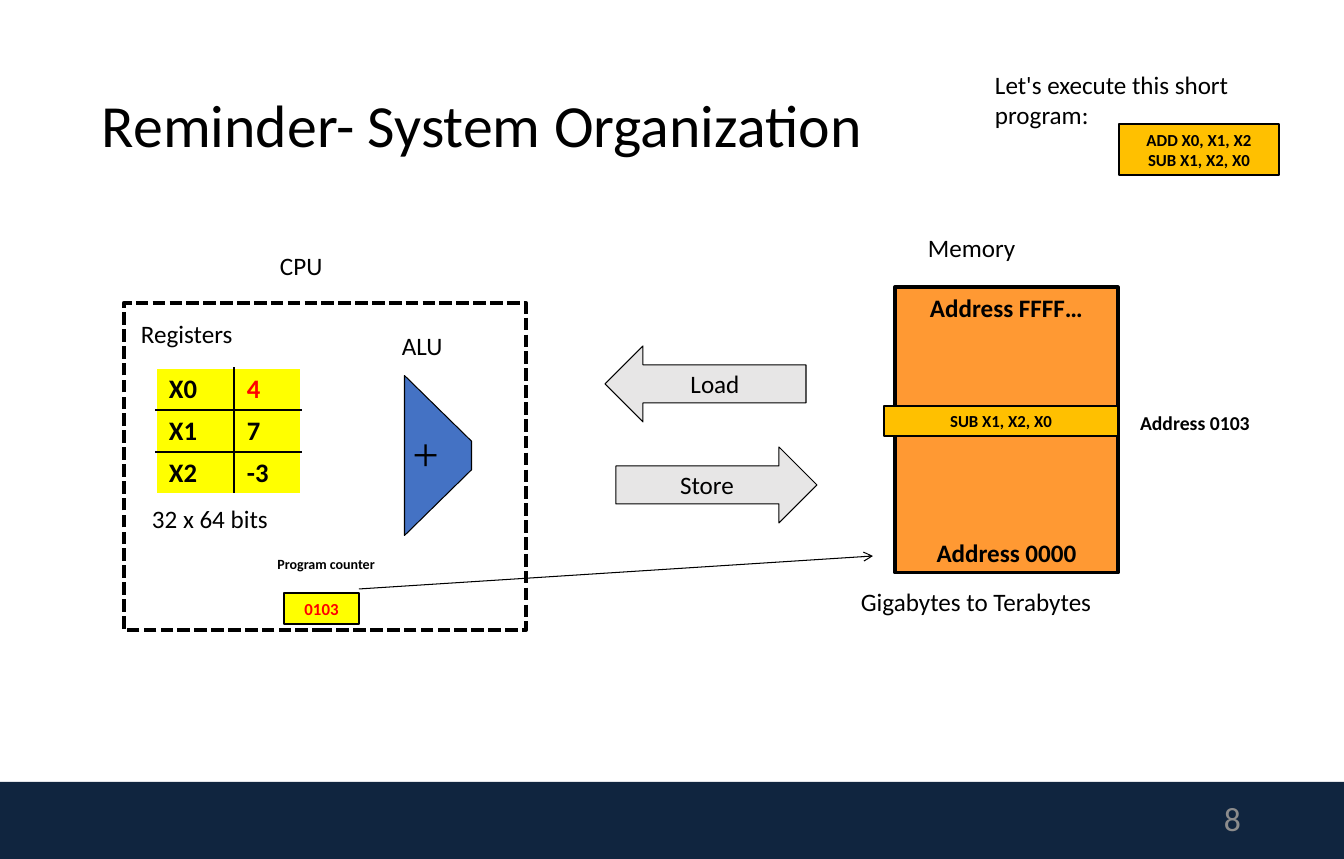
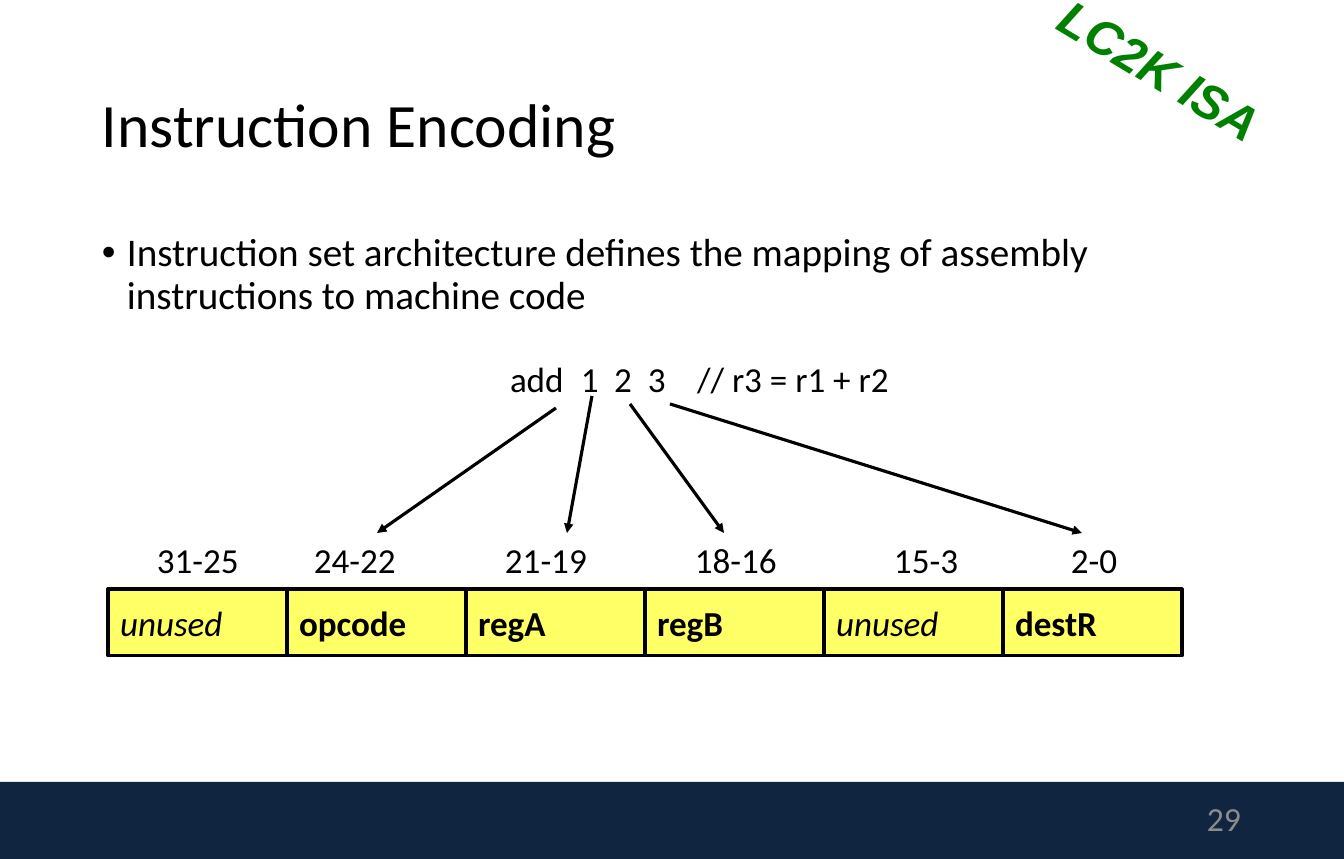
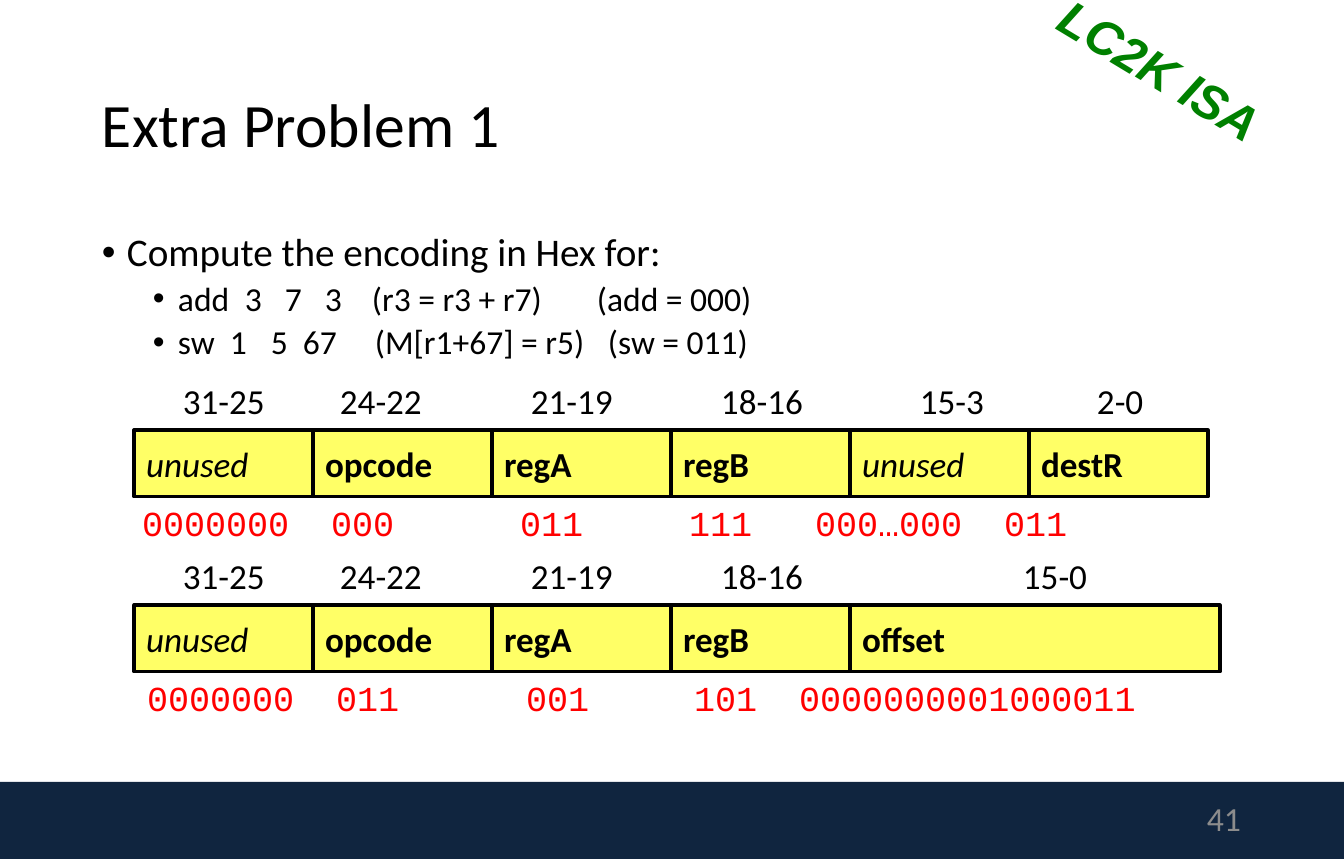
from dataclasses import dataclass

from lxml import etree
from pptx import Presentation
from pptx.dml.color import RGBColor
from pptx.enum.dml import MSO_LINE
from pptx.enum.shapes import MSO_CONNECTOR, MSO_SHAPE
from pptx.enum.text import MSO_ANCHOR, MSO_AUTO_SIZE, PP_ALIGN
from pptx.oxml.ns import qn
from pptx.util import Pt

RECT = MSO_SHAPE.RECTANGLE
TRAP = MSO_SHAPE.TRAPEZOID
LARROW = MSO_SHAPE.LEFT_ARROW
RARROW = MSO_SHAPE.RIGHT_ARROW
LINE = MSO_CONNECTOR.STRAIGHT
DASH = MSO_LINE.SQUARE_DOT
LEFT, MID, RIGHT = PP_ALIGN.LEFT, PP_ALIGN.CENTER, PP_ALIGN.RIGHT
TOP, CENTER = MSO_ANCHOR.TOP, MSO_ANCHOR.MIDDLE
FIXED = MSO_AUTO_SIZE.NONE
SCALE = 9048
WIDE, HIGH = 1344, 859


@dataclass(frozen=True)
class Theme:
    font: str = "Calibri"
    mono: str = "Courier New"
    sans: str = "Arial"
    serif: str = "Times New Roman"
    ink: str = "000000"
    band: str = "10253F"
    gray: str = "8C8C8C"
    pale: str = "E7E6E6"
    blue: str = "4472C4"
    orange: str = "FF9933"
    gold: str = "FFC000"
    yellow: str = "FFFF00"
    lemon: str = "FFFF66"
    red: str = "FF0000"
    green: str = "008000"
    title: float = 43.9
    list: float = 27.9
    sub: float = 23.9
    field: float = 25
    label: float = 17.9
    cell: float = 19
    note: float = 14
    code: float = 12
    tiny: float = 10
    page: float = 24
    stamp: float = 35
    sign: float = 33.4


T = Theme()


def px(n):
    return n * SCALE


def box(*nums):
    return [px(n) for n in nums]


def rgb(code):
    return RGBColor.from_string(code)


def style(para, size, color=T.ink, face=T.font, bold=False, italic=False,
          align=LEFT):
    para.alignment = align
    font = para.font
    font.size, font.name = Pt(size), face
    font.bold, font.italic = bold, italic
    font.color.rgb = rgb(color)


def inset(frame, side, edge):
    frame.margin_left = frame.margin_right = px(side)
    frame.margin_top = frame.margin_bottom = px(edge)


def write(frame, text, size, anchor=CENTER, wrap=True, pad=(10, 5), **look):
    frame.text = text
    frame.word_wrap = wrap
    frame.vertical_anchor = anchor
    inset(frame, *pad)
    for para in frame.paragraphs:
        style(para, size, **look)


def label(slide, x, y, w, h, text, size=T.label, anchor=TOP, wrap=False,
          **look):
    item = slide.shapes.add_textbox(*box(x, y, w, h))
    write(item.text_frame, text, size, anchor, wrap, **look)
    return item


def block(slide, kind, x, y, w, h, fill=None, line=T.ink, weight=0.75):
    item = slide.shapes.add_shape(kind, *box(x, y, w, h))
    item.shadow.inherit = False
    if fill:
        item.fill.solid()
        item.fill.fore_color.rgb = rgb(fill)
    else:
        item.fill.background()
    if line:
        item.line.color.rgb = rgb(line)
        item.line.width = Pt(weight)
    else:
        item.line.fill.background()
    return item


def arrow(slide, start, end, weight, head):
    item = slide.shapes.add_connector(LINE, *box(*start, *end))
    item.line.color.rgb = rgb(T.ink)
    item.line.width = Pt(weight)
    props = item.element.spPr
    etree.SubElement(props.find(qn("a:ln")), qn("a:tailEnd"), type=head)
    etree.SubElement(props, qn("a:effectLst"))


def tabs(para, stops):
    tree = etree.SubElement(para._p.get_or_add_pPr(), qn("a:tabLst"))
    for stop in stops:
        etree.SubElement(tree, qn("a:tab"), pos=str(px(stop)), algn="l")


def bullet(para, left):
    props = para._p.get_or_add_pPr()
    props.set("marL", str(px(left)))
    props.set("indent", str(-px(25)))
    etree.SubElement(props, qn("a:buFont"), typeface=T.sans)
    etree.SubElement(props, qn("a:buChar"), char="•")


def place(item, x, y, w, h):
    item.left, item.top, item.width, item.height = box(x, y, w, h)


def start(deck, layout, title, page, size=T.title):
    slide = deck.slides.add_slide(deck.slide_layouts[layout])
    head = slide.shapes.title
    place(head, 92, 45, 1159, 166)
    write(head.text_frame, title, size)
    head.text_frame.auto_size = FIXED
    head.text_frame.paragraphs[0].line_spacing = 0.9
    label(slide, 949, 796, 302, 45, page, T.page, CENTER, True,
          color=T.gray, align=RIGHT)
    return slide


def band(deck, slide):
    item = block(slide, RECT, 0, 782, WIDE, HIGH - 782, T.band, None)
    deck.slide_master.shapes.element.insert(2, item.element)


def points(slide, items):
    body = slide.placeholders[1]
    place(body, 92, 228, 1159, 545)
    frame = body.text_frame
    frame.auto_size = FIXED
    frame.vertical_anchor = TOP
    inset(frame, 10, 5)
    for i, (level, text, stops) in enumerate(items):
        para = frame.add_paragraph() if i else frame.paragraphs[0]
        para.text, para.level = text, level
        para.line_spacing = 0.9
        para.space_before = Pt(5 if level else 10)
        bullet(para, 76 if level else 25)
        if stops:
            tabs(para, stops)
        style(para, T.sub if level else T.list)


def stamp(slide):
    item = label(slide, 1031, 38, 268, 87, "LC2K ISA", T.stamp, pad=(12, 6),
                 color=T.green, face=T.sans, bold=True, italic=True)
    item.rotation = 31.1


def edge(cell, sides):
    props = cell._tc.get_or_add_tcPr()
    for side in sides:
        line = etree.SubElement(props, qn("a:" + side), w=str(Pt(1)))
        fill = etree.SubElement(line, qn("a:solidFill"))
        etree.SubElement(fill, qn("a:srgbClr"), val=T.ink)


def table(slide, x, y, rows):
    cols, tall = (78, 67), 42
    last = len(rows) - 1
    grid = slide.shapes.add_table(
        len(rows), 2, *box(x, y, sum(cols), tall * len(rows))).table
    grid.first_row = grid.horz_banding = False
    for c, wide in enumerate(cols):
        grid.columns[c].width = px(wide)
    for r, row in enumerate(rows):
        grid.rows[r].height = px(tall)
        for c, text in enumerate(row):
            cell = grid.cell(r, c)
            inner = ["lnL" if c else "lnR"]
            if r:
                inner.append("lnT")
            if r < last:
                inner.append("lnB")
            edge(cell, inner)
            cell.fill.solid()
            cell.fill.fore_color.rgb = rgb(T.yellow)
            cell.margin_left = cell.margin_right = px(13)
            cell.margin_top = cell.margin_bottom = px(5)
            cell.text_frame.text = text
            style(cell.text_frame.paragraphs[0], T.cell, bold=True,
                  color=T.red if (r, c) == (0, 1) else T.ink)


def tag(slide, x, y, w, h, text, fill, color=T.ink):
    item = block(slide, RECT, x, y, w, h, fill, weight=1.5)
    write(item.text_frame, text, T.code, color=color, bold=True, align=MID)


def cpu(slide, x, y, w, h):
    frame = block(slide, RECT, x, y, w, h, weight=3)
    frame.line.dash_style = DASH
    label(slide, x + 146, y - 58, 63, 40, "CPU")
    label(slide, x + 7, y + 10, 112, 40, "Registers")
    table(slide, x + 32, y + 65, [("X0", "4"), ("X1", "7"), ("X2", "-3")])
    label(slide, x + 18, y + 195, 137, 40, "32 x 64 bits")
    label(slide, x + 268, y + 22, 61, 40, "ALU")
    unit = block(slide, TRAP, x + 234, y + 119, 160, 67, T.blue)
    unit.adjustments[0] = 0.98
    unit.rotation = 90
    write(unit.text_frame, "+", T.sign, wrap=False, face=T.serif, align=MID)
    label(slide, x + 124, y + 247, 156, 27, "Program counter", T.tiny,
          wrap=True, bold=True, align=MID)
    tag(slide, x + 160, y + 290, 75, 31, "0103", T.yellow, T.red)


def memory(slide, x, y, w, h):
    label(slide, x + 23, y - 60, 108, 40, "Memory")
    item = block(slide, RECT, x, y, w, h, T.orange, weight=2.25)
    write(item.text_frame, "Address FFFF…\nAddress 0000", T.label,
          bold=True, align=MID)
    item.text_frame.paragraphs[1].space_before = Pt(153)
    tag(slide, x - 11, y + 119, w + 11, 30, "SUB X1, X2, X0", T.gold)
    label(slide, x + 235, y + 119, 190, 58, "Address 0103", T.note,
          wrap=True, bold=True)
    label(slide, x - 44, y + 294, 254, 40, "Gigabytes to Terabytes")


def bus(slide, x, y, w, h):
    for i, (kind, text) in enumerate([(LARROW, "Load"), (RARROW, "Store")]):
        item = block(slide, kind, x + 11 * i, y + 101 * i, w, h, T.pale)
        write(item.text_frame, text, T.label, wrap=False, align=MID)


def word(slide, x, y, fields, codes=()):
    left = x
    for name, wide, bits, shift in fields:
        item = block(slide, RECT, left, y, wide, 67, T.lemon, weight=2.25)
        plain = name == "unused"
        write(item.text_frame, name, T.field, pad=(12, 6),
              bold=not plain, italic=plain)
        label(slide, x + shift, y - 57, 18 * len(bits) + 18, 56, bits,
              T.field, pad=(12, 6))
        left += wide
    for shift, code in codes:
        label(slide, x + shift, y + 65, 21 * len(code) + 30, 56, code,
              T.field, wrap=True, pad=(12, 6), color=T.red, face=T.mono)


BASE = [("unused", 179, "31-25", 37), ("opcode", 179, "24-22", 194),
        ("regA", 179, "21-19", 385), ("regB", 179, "18-16", 575)]
RTYPE = BASE + [("unused", 179, "15-3", 774), ("destR", 179, "2-0", 951)]
ITYPE = BASE + [("offset", 370, "15-0", 877)]


def system(deck):
    slide = start(deck, 5, "Reminder- System Organization", "8", 42.6)
    band(deck, slide)
    cpu(slide, 124, 303, 402, 327)
    bus(slide, 605, 346, 201, 76)
    memory(slide, 895, 287, 223, 286)
    arrow(slide, (359, 589), (873, 556), 0.75, "arrow")
    label(slide, 985, 64, 290, 70, "Let's execute this short program:",
          wrap=True)
    tag(slide, 1119, 124, 160, 51, "ADD X0, X1, X2\nSUB X1, X2, X0", T.gold)


def encode(deck):
    slide = start(deck, 1, "Instruction Encoding", "29")
    points(slide, [(0, "Instruction set architecture defines the mapping of "
                       "assembly instructions to machine code", ())])
    item = slide.shapes.add_textbox(*box(498, 351, 484, 64))
    frame = item.text_frame
    frame.text = "add\t1\t2\t3\t// r3 = r1 + r2"
    frame.word_wrap = True
    inset(frame, 12, 6)
    tabs(frame.paragraphs[0], (71, 104, 138, 187))
    style(frame.paragraphs[0], T.field)
    word(slide, 108, 589, RTYPE)
    for x, y, end in [(556, 408, 377), (592, 396, 567),
                      (630, 404, 724), (670, 404, 1082)]:
        arrow(slide, (x, y), (end, 533), 2.25, "triangle")
    stamp(slide)


def problem(deck):
    slide = start(deck, 1, "Extra Problem 1", "41")
    points(slide, [
        (0, "Compute the encoding in Hex for:", ()),
        (1, "add\t3\t7\t3\t(r3 = r3 + r7)\t(add = 000)",
         (143, 183, 223, 270, 495)),
        (1, "sw\t1\t5\t67\t(M[r1+67] = r5)\t(sw = 011)",
         (128, 169, 201, 273, 506))])
    word(slide, 134, 430, RTYPE, [
        (-4, "0000000"), (185, "000"), (374, "011"), (543, "111"),
        (669, "000…000"), (858, "011")])
    word(slide, 134, 605, ITYPE, [
        (1, "0000000"), (190, "011"), (380, "001"), (548, "101"),
        (653, "0000000001000011")])
    stamp(slide)


def main():
    deck = Presentation()
    deck.slide_width, deck.slide_height = box(WIDE, HIGH)
    system(deck)
    encode(deck)
    problem(deck)
    deck.save("out.pptx")


if __name__ == "__main__":
    main()
